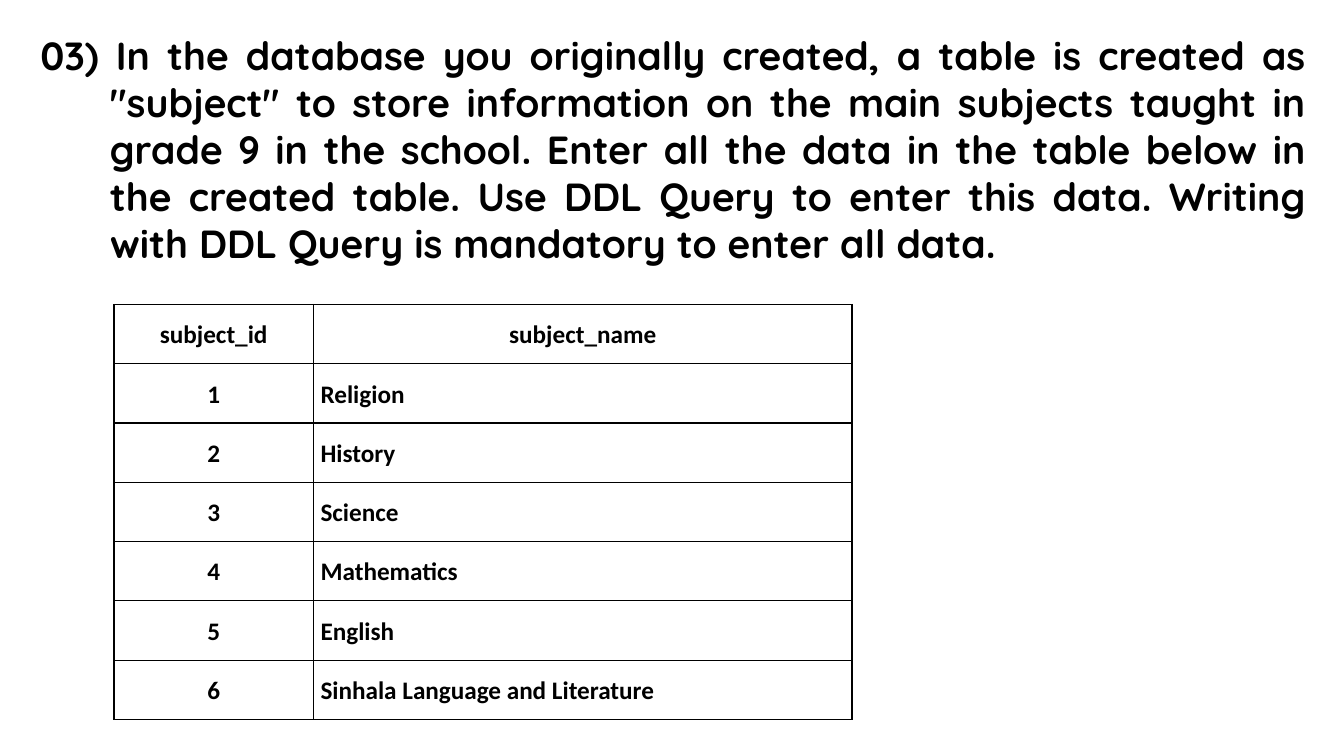
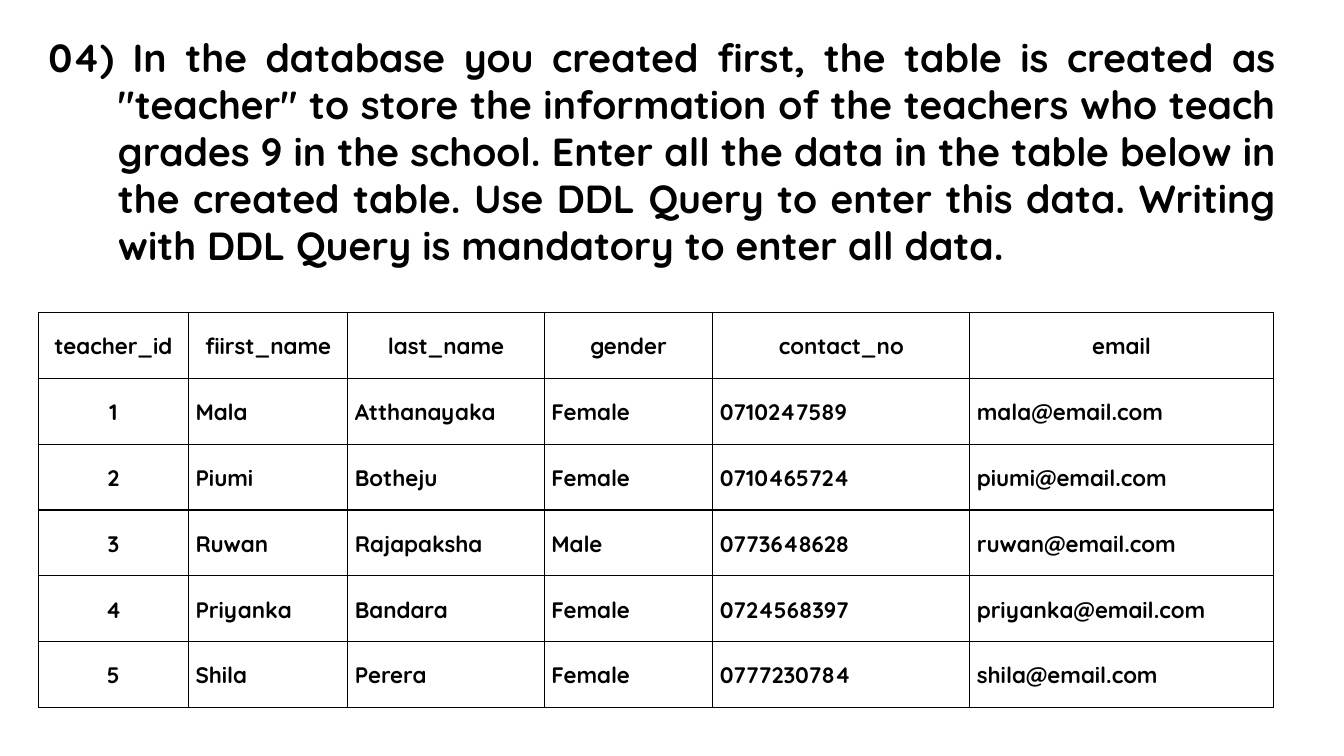
from lxml.etree import SubElement
from pptx import Presentation
from pptx.dml.color import RGBColor
from pptx.enum.text import MSO_ANCHOR, MSO_AUTO_SIZE, PP_ALIGN
from pptx.oxml.ns import qn
from pptx.util import Inches, Pt

INK = "000000"
PAPER = "FFFFFF"
TITLE_FONT = "Quicksand"
TITLE_ONLY_LAYOUT = 5
HANGING_INDENT = Inches(0.69)
CELL_MARGIN = Inches(0.07)
BORDER_WIDTH = Pt(1)

TASK = (
    "Enter all the data in the table below in the created table. "
    "Use DDL Query to enter this data. "
    "Writing with DDL Query is mandatory to enter all data."
)

QUESTIONS = [
    {
        "text": "03) In the database you originally created, a table is created as "
                "\"subject\" to store information on the main subjects taught in "
                "grade 9 in the school.",
        "title_box": (0.3, 0.26, 12.75, 2.46),
        "table_at": (1.13, 3.02),
        "table_height": 4.12,
        "columns": [("subject_id", 1.98), ("subject_name", 5.34)],
        "font": ("Calibri", 18),
        "records": [
            ("1", "Religion"),
            ("2", "History"),
            ("3", "Science"),
            ("4", "Mathematics"),
            ("5", "English"),
            ("6", "Sinhala Language and Literature"),
        ],
    },
    {
        "text": "04) In the database you created first, the table is created as "
                "\"teacher\" to store the information of the teachers who teach "
                "grades 9 in the school.",
        "title_box": (0.38, 0.28, 12.37, 2.46),
        "table_at": (0.38, 3.1),
        "table_height": 3.92,
        "columns": [
            ("teacher_id", 1.49), ("fiirst_name", 1.58), ("last_name", 1.95),
            ("gender", 1.67), ("contact_no", 2.55), ("email", 3.01),
        ],
        "font": (TITLE_FONT, 16),
        "records": [
            ("1", "Mala", "Atthanayaka", "Female", "0710247589", "mala@email.com"),
            ("2", "Piumi", "Botheju", "Female", "0710465724", "piumi@email.com"),
            ("3", "Ruwan", "Rajapaksha", "Male", "0773648628", "ruwan@email.com"),
            ("4", "Priyanka", "Bandara", "Female", "0724568397", "priyanka@email.com"),
            ("5", "Shila", "Perera", "Female", "0777230784", "shila@email.com"),
        ],
    },
]


def color(hex_text):
    return RGBColor.from_string(hex_text)


def style_font(para, name, size):
    para.font.name = name
    para.font.size = Pt(size)
    para.font.bold = True
    para.font.color.rgb = color(INK)


def add_question(page, text, box):
    title = page.shapes.title
    title.left, title.top, title.width, title.height = map(Inches, box)
    frame = title.text_frame
    frame.text = text
    frame.word_wrap = True
    frame.auto_size = MSO_AUTO_SIZE.SHAPE_TO_FIT_TEXT
    frame.vertical_anchor = MSO_ANCHOR.TOP
    para = frame.paragraphs[0]
    para.alignment = PP_ALIGN.JUSTIFY
    style_font(para, TITLE_FONT, 28)
    properties = para._p.get_or_add_pPr()
    properties.set("marL", str(HANGING_INDENT))
    properties.set("indent", str(-HANGING_INDENT))


def add_borders(cell):
    properties = cell._tc.get_or_add_tcPr()
    for side in ("a:lnL", "a:lnR", "a:lnT", "a:lnB"):
        line = SubElement(properties, qn(side), w=str(BORDER_WIDTH))
        fill = SubElement(line, qn("a:solidFill"))
        SubElement(fill, qn("a:srgbClr"), val=INK)


def fill_cell(cell, text, centered, font):
    add_borders(cell)
    cell.fill.solid()
    cell.fill.fore_color.rgb = color(PAPER)
    cell.margin_left = cell.margin_right = CELL_MARGIN
    cell.margin_top = cell.margin_bottom = 0
    cell.vertical_anchor = MSO_ANCHOR.MIDDLE
    cell.text = text
    para = cell.text_frame.paragraphs[0]
    para.alignment = PP_ALIGN.CENTER if centered else PP_ALIGN.LEFT
    para.line_spacing = 1.07
    para.space_after = Pt(8)
    style_font(para, *font)


def add_records(page, question):
    names, widths = zip(*question["columns"])
    rows = [names, *question["records"]]
    left, top = map(Inches, question["table_at"])
    height = Inches(question["table_height"])
    table = page.shapes.add_table(
        len(rows), len(names), left, top, Inches(sum(widths)), height).table
    table.first_row = table.horz_banding = False
    for column, width in zip(table.columns, widths):
        column.width = Inches(width)
    for row_index, row in enumerate(rows):
        table.rows[row_index].height = height // len(rows)
        for column_index, text in enumerate(row):
            centered = row_index == 0 or column_index == 0
            fill_cell(table.cell(row_index, column_index), text, centered,
                      question["font"])


def main():
    deck = Presentation()
    deck.slide_width, deck.slide_height = Inches(13.33), Inches(7.5)
    for question in QUESTIONS:
        page = deck.slides.add_slide(deck.slide_layouts[TITLE_ONLY_LAYOUT])
        add_question(page, f"{question['text']} {TASK}", question["title_box"])
        add_records(page, question)
    deck.save("out.pptx")


if __name__ == "__main__":
    main()
